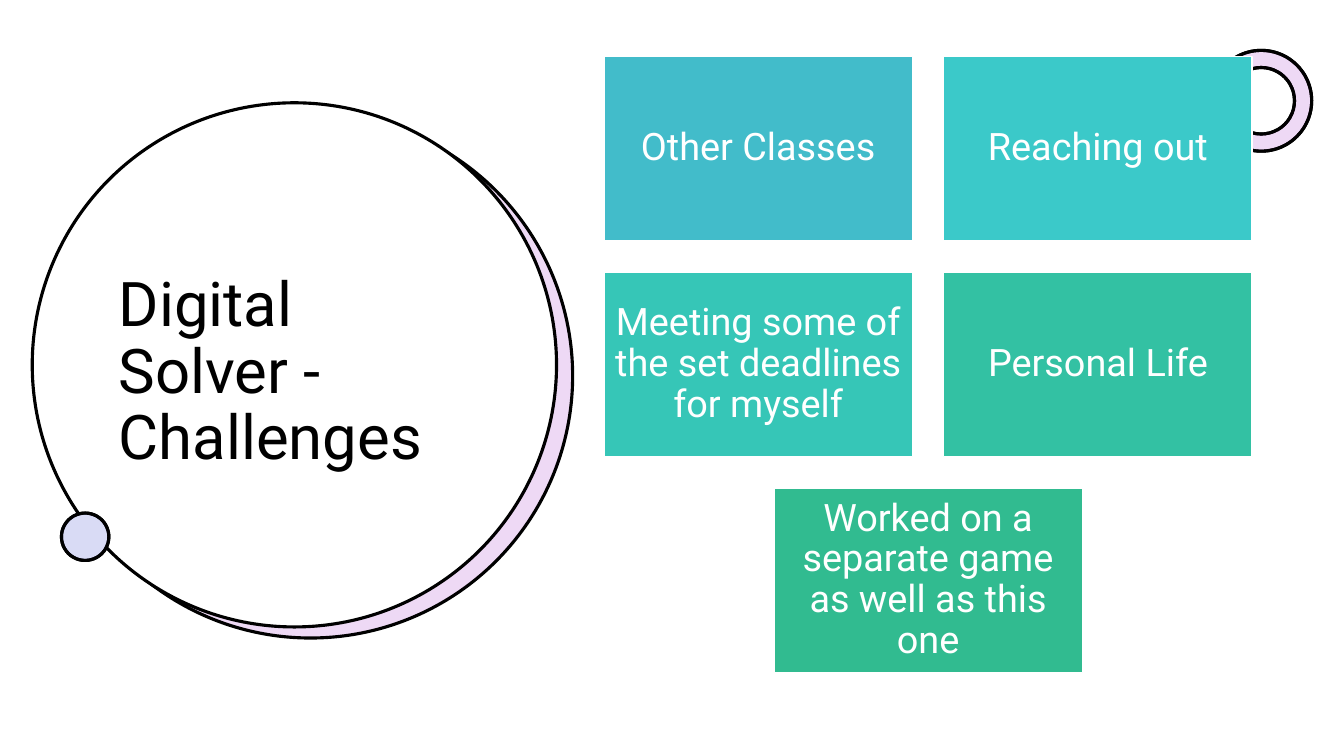
from lxml.etree import SubElement
from pptx import Presentation
from pptx.dml.color import RGBColor
from pptx.enum.shapes import MSO_SHAPE as Shape
from pptx.enum.text import MSO_ANCHOR as Anchor, PP_ALIGN as Align
from pptx.oxml.ns import qn
from pptx.util import Inches, Pt

BLACK = RGBColor(0x00, 0x00, 0x00)
WHITE = RGBColor(0xFF, 0xFF, 0xFF)
PURPLE = RGBColor(0xAD, 0x43, 0xCD)
INDIGO = RGBColor(0x43, 0x4B, 0xCD)
BLUE = RGBColor(0x42, 0xBC, 0xCA)
CYAN = RGBColor(0x3B, 0xC9, 0xC9)
TURQUOISE = RGBColor(0x36, 0xC6, 0xB7)
TEAL = RGBColor(0x33, 0xC1, 0xA3)
GREEN = RGBColor(0x31, 0xBB, 0x90)

CHALLENGES = [
    ("Other Classes", BLUE),
    ("Reaching out", CYAN),
    ("Meeting some of the set deadlines for myself", TURQUOISE),
    ("Personal Life", TEAL),
    ("Worked on a separate game as well as this one", GREEN),
]
COLUMNS = 2
CARD_LEFT, CARD_TOP = 5.99, 0.56
CARD_WIDTH, CARD_HEIGHT = 3.06, 1.83
CARD_GAP = 0.31


def write_text(shape, text, size, color, align=Align.LEFT, margin=None):
    frame = shape.text_frame
    frame.word_wrap = True
    frame.vertical_anchor = Anchor.MIDDLE
    if margin is not None:
        frame.margin_left = frame.margin_right = Inches(margin)
        frame.margin_top = frame.margin_bottom = Inches(margin)
    paragraph = frame.paragraphs[0]
    paragraph.alignment = align
    paragraph.line_spacing = 0.9
    run = paragraph.add_run()
    run.text = text
    run.font.name = "Roboto"
    run.font.size = Pt(size)
    run.font.color.rgb = color


class ChallengeSlide:
    def __init__(self, presentation):
        self.slide = presentation.slides.add_slide(presentation.slide_layouts[6])
        self.line_width = 2.25
        self.tint_percent = 20

    def shape(self, kind, left, top, width, height, fill, line=BLACK, line_width=None):
        shape = self.slide.shapes.add_shape(
            kind, Inches(left), Inches(top), Inches(width), Inches(height))
        shape.shadow.inherit = False
        shape.fill.solid()
        shape.fill.fore_color.rgb = fill
        if line is None:
            shape.line.fill.background()
        else:
            shape.line.color.rgb = line
            shape.line.width = Pt(line_width or self.line_width)
        return shape

    def tinted(self, kind, left, top, size, tint):
        shape = self.shape(kind, left, top, size, size, tint)
        color = shape.fill._xPr.find(qn("a:solidFill")).find(qn("a:srgbClr"))
        SubElement(color, qn("a:alpha"), val=str(self.tint_percent * 1000))
        return shape

    def title(self, text, left, top, width, height):
        box = self.slide.shapes.add_textbox(
            Inches(left), Inches(top), Inches(width), Inches(height))
        write_text(box, text, size=44, color=BLACK)

    def title_circle(self):
        size = 5.2
        self.shape(Shape.OVAL, 0.49, 1.14, size, size, WHITE, line=None)
        self.tinted(Shape.OVAL, 0.48, 1.13, size, PURPLE)
        self.shape(Shape.OVAL, 0.32, 1.02, size, size, WHITE)

    def ring(self, left, top, size):
        base = self.shape(Shape.DONUT, left, top, size, size, WHITE)
        tint = self.tinted(Shape.DONUT, left, top, size, PURPLE)
        for donut in (base, tint):
            donut.adjustments[0] = 0.17

    def dot(self, left, top, size):
        self.shape(Shape.OVAL, left, top, size, size, WHITE)
        self.tinted(Shape.OVAL, left, top, size, INDIGO)

    def card(self, left, top, text, fill):
        card = self.shape(Shape.RECTANGLE, left, top, CARD_WIDTH, CARD_HEIGHT,
                          fill, line=WHITE, line_width=1)
        write_text(card, text, size=27, color=WHITE, align=Align.CENTER, margin=0.11)

    def cards(self, challenges):
        step_x = CARD_WIDTH + CARD_GAP
        step_y = CARD_HEIGHT + CARD_GAP
        for start in range(0, len(challenges), COLUMNS):
            row = challenges[start:start + COLUMNS]
            row_left = CARD_LEFT + (COLUMNS - len(row)) * step_x / 2
            top = CARD_TOP + start // COLUMNS * step_y
            for column, (text, fill) in enumerate(row):
                self.card(row_left + column * step_x, top, text, fill)


def main():
    presentation = Presentation()
    presentation.slide_width = Inches(13.33)
    presentation.slide_height = Inches(7.5)
    slide = ChallengeSlide(presentation)
    slide.title_circle()
    slide.ring(12.01, 0.5, 1)
    slide.dot(0.61, 5.09, 0.47)
    slide.title("Digital Solver - Challenges", 1.08, 1.85, 3.5, 3.71)
    slide.cards(CHALLENGES)
    presentation.save("out.pptx")


if __name__ == "__main__":
    main()
